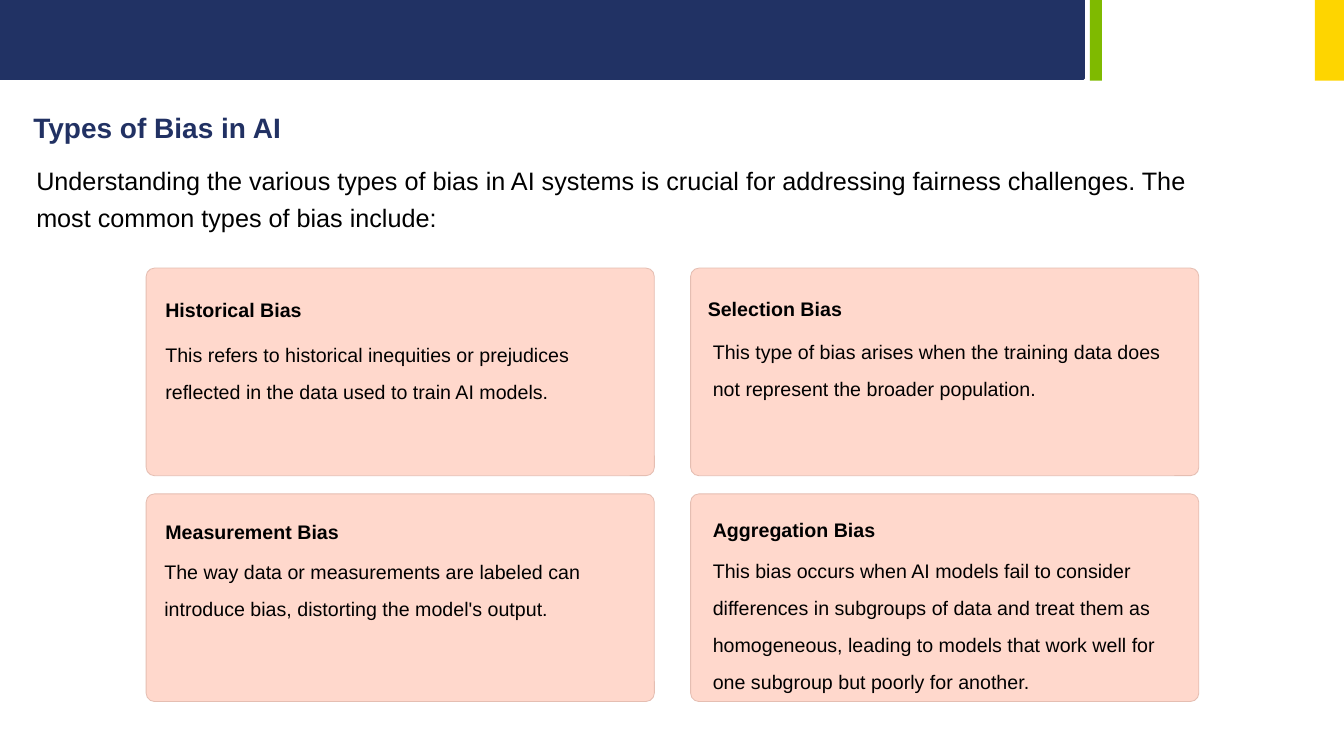
from pptx import Presentation
from pptx.dml.color import RGBColor
from pptx.enum.shapes import MSO_SHAPE
from pptx.enum.text import MSO_ANCHOR, MSO_AUTO_SIZE, PP_ALIGN
from pptx.oxml.ns import qn
from pptx.util import Inches, Pt

COLORS = {
    "navy": "213264", "title": "213163", "green": "7FBA00", "gold": "FED500",
    "card": "FFD8CC", "edge": "E5BEB2", "text": "000000",
}


def block(kind, box, fill, edge=None, width=0):
    """Add a filled preset shape, with an outline if edge is given."""
    shape = slide.shapes.add_shape(kind, *map(Inches, box))
    shape.shadow.inherit = False
    shape.fill.solid()
    shape.fill.fore_color.rgb = RGBColor.from_string(COLORS[fill])
    if edge:
        shape.line.color.rgb = RGBColor.from_string(COLORS[edge])
        shape.line.width = Pt(width)
    else:
        shape.line.fill.background()
    return shape


def write(shape, box, text, size, color="text", bold=False, pitch=None, inset=0):
    """Place a text shape and fill it with one formatted paragraph."""
    shape.left, shape.top, shape.width, shape.height = map(Inches, box)
    frame = shape.text_frame
    frame.text = text
    frame.word_wrap = True
    frame.auto_size = MSO_AUTO_SIZE.NONE
    frame.vertical_anchor = MSO_ANCHOR.TOP
    frame.margin_left = frame.margin_right = Inches(inset)
    frame.margin_top = frame.margin_bottom = Inches(inset / 2)
    para = frame.paragraphs[0]
    para.alignment = PP_ALIGN.LEFT
    para.space_before = Pt(0)
    if pitch:
        para.line_spacing = Pt(pitch)
    font = para.runs[0].font
    font.name, font.size, font.bold = "Arial", Pt(size), bold
    font.color.rgb = RGBColor.from_string(COLORS[color])


deck = Presentation()
deck.slide_width, deck.slide_height = Inches(13.33), Inches(7.5)
slide = deck.slides.add_slide(deck.slide_layouts[1])

# Header bands
block(MSO_SHAPE.RECTANGLE, (0, 0, 10.75, 0.78), "navy", "navy", 2)
block(MSO_SHAPE.RECTANGLE, (10.81, 0, 0.12, 0.8), "green")
block(MSO_SHAPE.RECTANGLE, (13.04, 0, 0.29, 0.8), "gold")

# Title and introduction
write(slide.shapes.title, (0.23, 1.05, 10.44, 0.44), "Types of Bias in AI",
      20, "title", True, inset=0.1)
intro = slide.placeholders[1]
write(intro, (0.36, 1.57, 11.84, 0.74),
      "Understanding the various types of bias in AI systems is crucial for "
      "addressing fairness challenges. The most common types of bias include:",
      18, pitch=26.5)
props = intro.text_frame.paragraphs[0]._p.get_or_add_pPr()
props.set("marL", "0")
props.set("indent", "0")
props.append(props.makeelement(qn("a:buNone"), {}))

# Cards: heading, its left and top, body, its left, top and width
cards = [
    ("Historical Bias", 1.64, 2.83,
     "This refers to historical inequities or prejudices reflected in the "
     "data used to train AI models.", 1.64, 3.27, 4.63),
    ("Selection Bias", 7.02, 2.82,
     "This type of bias arises when the training data does not represent "
     "the broader population.", 7.07, 3.24, 4.6),
    ("Measurement Bias", 1.64, 5.03,
     "The way data or measurements are labeled can introduce bias, "
     "distorting the model's output.", 1.63, 5.42, 4.86),
    ("Aggregation Bias", 7.07, 5.01,
     "This bias occurs when AI models fail to consider differences in "
     "subgroups of data and treat them as homogeneous, leading to models "
     "that work well for one subgroup but poorly for another.", 7.07, 5.41, 4.73),
]
for i, (head, hx, hy, body, bx, by, wide) in enumerate(cards):
    row, col = divmod(i, 2)
    card = block(MSO_SHAPE.ROUNDED_RECTANGLE,
                 (1.45 + 5.4 * col, 2.66 + 2.24 * row, 5.04, 2.06),
                 "card", "edge", 0.6)
    card.adjustments[0] = 0.04
    for text, box, bold, pitch in (
        (head, (hx, hy, 2.2, 0.3), True, 26),
        (body, (bx, by, wide, 1.24), False, 26.5),
    ):
        label = slide.shapes.add_textbox(0, 0, 0, 0)
        write(label, box, text, 14, bold=bold, pitch=pitch)

deck.save("out.pptx")
